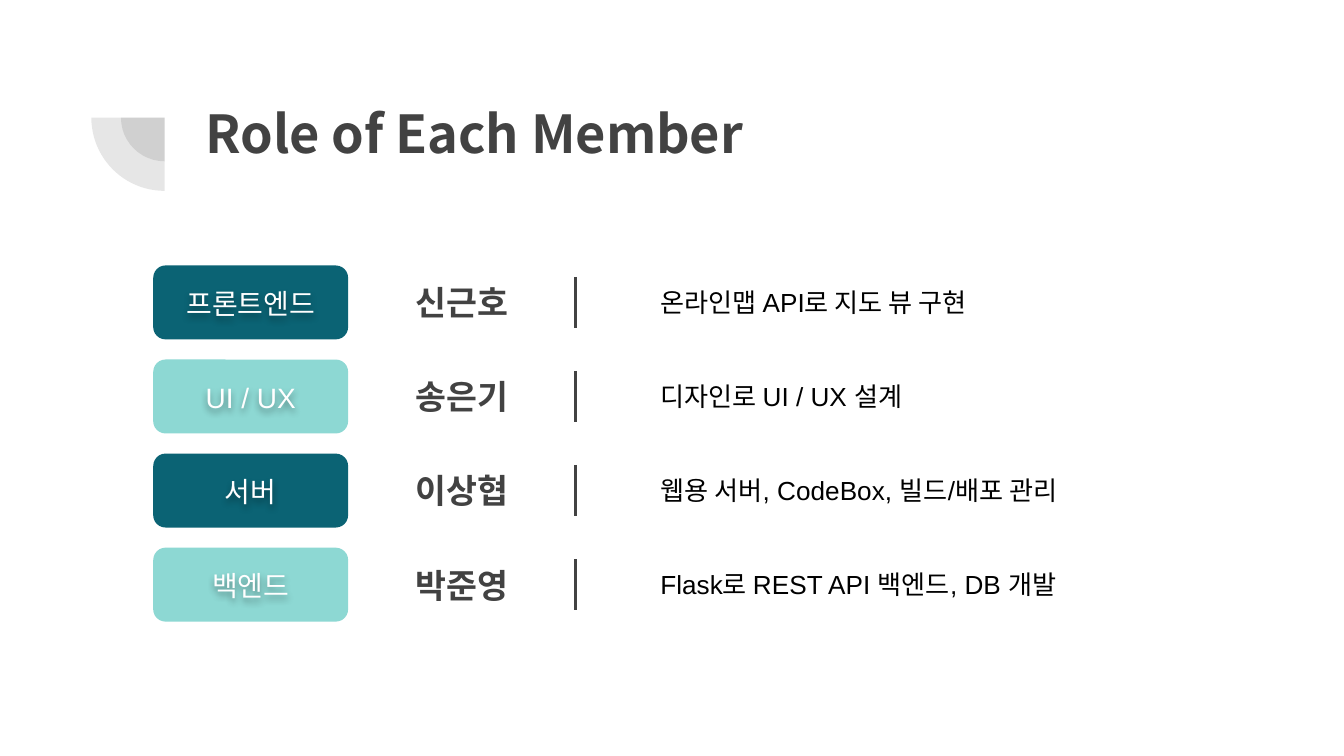
"""Build the slide that lists the role of each team member."""
from dataclasses import dataclass

from lxml import etree
from pptx import Presentation
from pptx.dml.color import RGBColor
from pptx.enum.shapes import MSO_CONNECTOR, MSO_SHAPE
from pptx.enum.text import MSO_ANCHOR, PP_ALIGN
from pptx.oxml.ns import qn
from pptx.util import Pt

PX = 4572
SLIDE_WIDTH, SLIDE_HEIGHT = 2000, 1125
PIE, ROUNDED = MSO_SHAPE.PIE, MSO_SHAPE.ROUNDED_RECTANGLE
STRAIGHT = MSO_CONNECTOR.STRAIGHT
TOP, MIDDLE = MSO_ANCHOR.TOP, MSO_ANCHOR.MIDDLE
LEFT, CENTER = PP_ALIGN.LEFT, PP_ALIGN.CENTER
LATIN, KOREAN = "Arial", "Noto Sans CJK KR"
DARK, TEAL, MINT, WHITE, BLACK = "424242", "0B6374", "8DD8D3", "FFFFFF", "000000"
FIRST_ROW, ROW_STEP = 395, 140
PIE_CENTER_X, PIE_CENTER_Y = 245, 175
INSET = 20


@dataclass(frozen=True)
class Box:
    left: int
    top: int
    width: int
    height: int

    def emu(self) -> list[int]:
        return [side * PX for side in (self.left, self.top, self.width, self.height)]


@dataclass(frozen=True)
class Style:
    size: int
    color: str
    bold: bool = False
    font: str = LATIN
    align: int = LEFT
    anchor: int = MIDDLE


@dataclass(frozen=True)
class Member:
    role: str
    name: str
    task: str


TITLE = Style(28, DARK, True, KOREAN, anchor=TOP)
ROLE = Style(15, WHITE, align=CENTER)
NAME = Style(18, DARK, True, align=CENTER)
TASK = Style(14, BLACK)

MEMBERS = [
    Member("프론트엔드", "신근호", "온라인맵 API로 지도 뷰 구현"),
    Member("UI / UX", "송은기", "디자인로 UI / UX 설계"),
    Member("서버", "이상협", "웹용 서버, CodeBox, 빌드/배포 관리"),
    Member("백엔드", "박준영", "Flask로 REST API 백엔드, DB 개발"),
]


def rgb(color: str) -> RGBColor:
    return RGBColor.from_string(color)


def add_filled(slide, kind: int, box: Box, color: str):
    shape = slide.shapes.add_shape(kind, *box.emu())
    shape.shadow.inherit = False
    shape.fill.solid()
    shape.fill.fore_color.rgb = rgb(color)
    shape.line.fill.background()
    return shape


def add_pie(slide, diameter: int) -> None:
    left, top = PIE_CENTER_X - diameter // 2, PIE_CENTER_Y - diameter // 2
    pie = add_filled(slide, PIE, Box(left, top, diameter, diameter), DARK)
    pie.adjustments[0], pie.adjustments[1] = 108, 162
    pie.rotation = 270
    color = pie.fill._xPr.find(qn("a:solidFill"))[0]
    etree.SubElement(color, qn("a:alpha"), val="13000")


def add_text(slide, text: str, box: Box, style: Style):
    text_box = slide.shapes.add_textbox(*box.emu())
    frame = text_box.text_frame
    frame_format = {"word_wrap": True, "vertical_anchor": style.anchor}
    for side in ("left", "top", "right", "bottom"):
        frame_format[f"margin_{side}"] = INSET * PX
    for attribute, value in frame_format.items():
        setattr(frame, attribute, value)
    paragraph = frame.paragraphs[0]
    paragraph.alignment = style.align
    run = paragraph.add_run()
    run.text = text
    font_format = {"size": Pt(style.size), "bold": style.bold, "name": style.font}
    for attribute, value in font_format.items():
        setattr(run.font, attribute, value)
    run.font.color.rgb = rgb(style.color)
    etree.SubElement(run.font._element, qn("a:ea"), typeface=KOREAN)
    return text_box


def add_text_shadow(text_box) -> None:
    effects = etree.SubElement(text_box._element.spPr, qn("a:effectLst"))
    shadow = etree.SubElement(
        effects, qn("a:outerShdw"), blurRad="50800", dist="25400", dir="5400000"
    )
    color = etree.SubElement(shadow, qn("a:srgbClr"), val=BLACK)
    etree.SubElement(color, qn("a:alpha"), val="40000")


def add_divider(slide, x: int, top: int, height: int) -> None:
    divider = slide.shapes.add_connector(
        STRAIGHT, x * PX, top * PX, x * PX, (top + height) * PX
    )
    divider.line.color.rgb = rgb(DARK)
    divider.line.width = Pt(1.5)
    etree.SubElement(divider._element.spPr, qn("a:effectLst"))


def add_member(slide, member: Member, top: int, color: str) -> None:
    add_filled(slide, ROUNDED, Box(228, top, 290, 110), color)
    add_text_shadow(add_text(slide, member.role, Box(228, top + 11, 290, 90), ROLE))
    add_text(slide, member.name, Box(571, top + 5, 232, 100), NAME)
    add_divider(slide, 856, top + 17, 76)
    add_text(slide, member.task, Box(963, top + 10, 870, 88), TASK)


def main() -> None:
    presentation = Presentation()
    presentation.slide_width = SLIDE_WIDTH * PX
    presentation.slide_height = SLIDE_HEIGHT * PX
    slide = presentation.slides.add_slide(presentation.slide_layouts[6])
    for diameter in (130, 218):
        add_pie(slide, diameter)
    add_text(slide, "Role of Each Member", Box(286, 130, 1538, 218), TITLE)
    for row, member in enumerate(MEMBERS):
        add_member(slide, member, FIRST_ROW + row * ROW_STEP, (TEAL, MINT)[row % 2])
    presentation.save("out.pptx")


if __name__ == "__main__":
    main()
